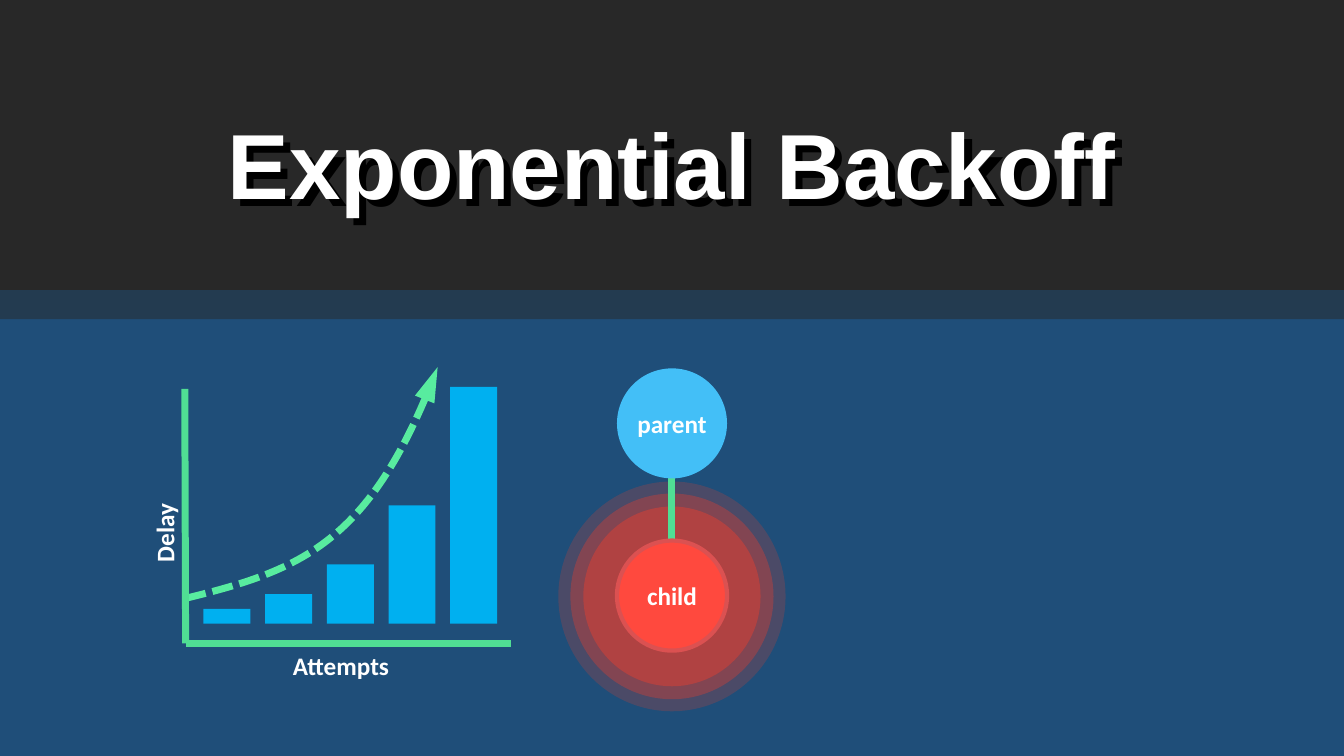
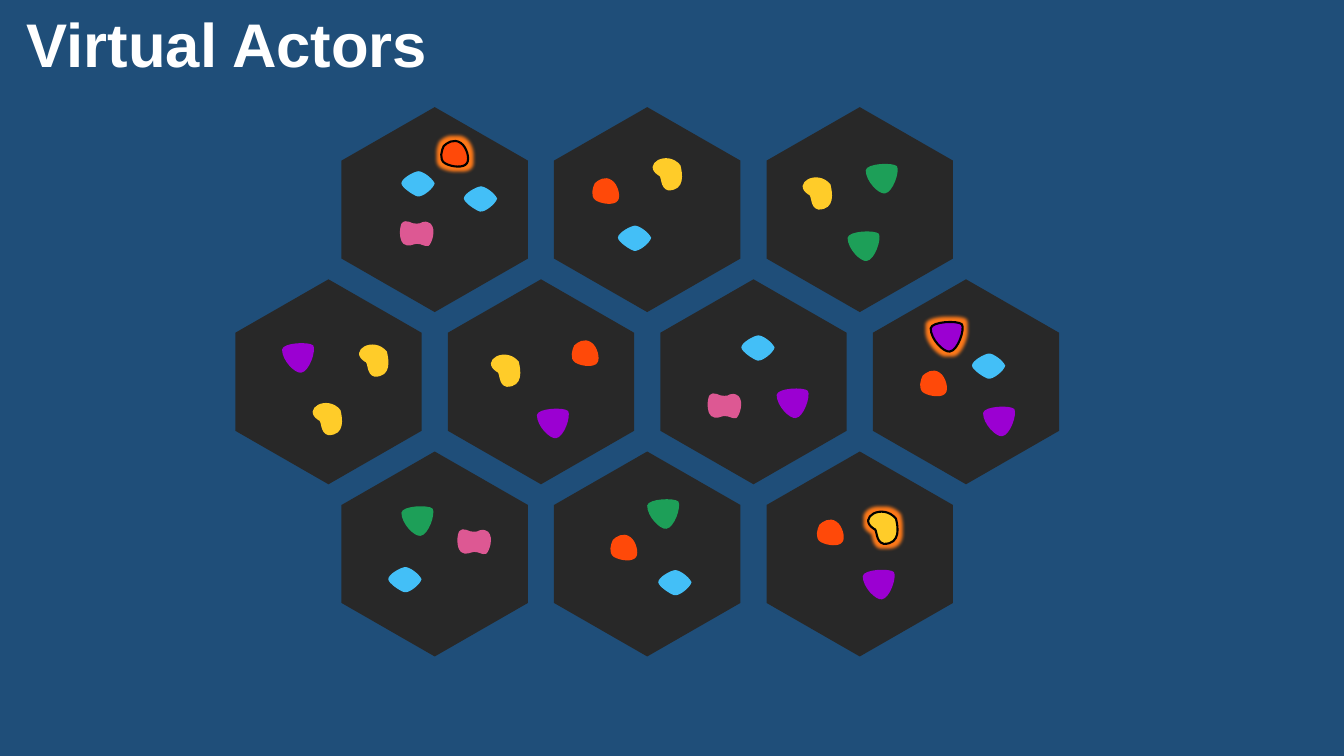
from dataclasses import dataclass
from typing import NamedTuple

from lxml import etree
from pptx import Presentation
from pptx import util as u
from pptx.dml.color import RGBColor
from pptx.enum import dml, shapes, text
from pptx.oxml.ns import qn

# The slide is a grid of 160 x 90 square cells; the small outlines use finer steps.
COLUMNS, ROWS = 160, 90
CELL = u.Inches(1) / 12
STEP = 0.12

COLORS = {
    "background": "1F4E79", "panel": "282828", "band": "233B50", "text": "FFFFFF",
    "axis": "50DE94", "trend": "58EC9F", "bar": "00B0F0",
    "parent": "43BFF7", "child": "FF493E", "child edge": "DB5151", "halo": "B04242",
    "yellow": "FFCC29", "red": "FF4909", "blue": "43BFF7", "green": "1D9F58",
    "purple": "9B00D2", "pink": "DD5893", "outline": "000000", "glow": "FF7A1A",
    "shadow": "000000",
}

Point = tuple[float, float]


class Box(NamedTuple):
    left: float
    top: float
    width: float
    height: float

    @classmethod
    def around(cls, center: Point, width: float, height: float) -> "Box":
        return cls(center[0] - width / 2, center[1] - height / 2, width, height)

    def emu(self) -> list[int]:
        return [cells(value) for value in self]


class Stroke(NamedTuple):
    color: str
    points: float
    alpha: int = 100


@dataclass(frozen=True)
class Node:
    label: str
    color: str
    row: float
    stroke: Stroke | None = None


@dataclass(frozen=True)
class AxisLabel:
    label: str
    box: Box
    rotation: int = 0


class Actor(NamedTuple):
    """One token, placed in steps from the centre of its hexagon."""
    color: str
    dx: int
    dy: int
    active: bool = False


TREE_COLUMN = 80
NODES = [
    Node("child", "child", 70.9, Stroke("child edge", 3)),
    Node("parent", "parent", 50.4),
]
HALOS = [Stroke("halo", 18.5, 54), Stroke("halo", 35.75, 31)]
AXES = [((22, 46.3), (22.1, 76.6)), ((22.2, 76.6), (60.8, 76.6))]
AXIS_LABELS = [
    AxisLabel("Attempts", Box(33.7, 76.8, 15.7, 4.9)),
    AxisLabel("Delay", Box(12.1, 58.2, 14.9, 4.9), 270),
]
TREND = [(52.1, 43.7), (44.4, 64.3), (35.4, 68), (22.2, 71.2)]

# Chains of cubic curves: a start, then two controls and an end for each curve.
SHIELD = [(14, -12), (17, -7), (10, 14), (2, 15), (-4, 16), (-17, 3), (-17, -8),
          (-16, -15), (10, -16), (14, -12)]
OUTLINES: dict[str, list[Point]] = {
    "yellow": [(-11, 2), (-28, -9), (-2, -24), (11, -8), (13, 0), (16, 17), (-1, 17),
               (-10, 15), (-7, 2), (-11, 2)],
    "red": [(-12, -9), (-9, -12), (-2, -17), (5, -12), (11, -8), (14, 4), (11, 8),
            (8, 13), (-4, 12), (-11, 8), (-17, 4), (-14, -5), (-12, -9)],
    "blue": [(-16, 0), (-16, -5), (-3, -12), (1, -12), (5, -12), (14, -6), (17, 0),
             (16, 5), (5, 14), (0, 13), (-4, 12), (-16, 4), (-16, 0)],
    "green": SHIELD,
    "purple": SHIELD,
    "pink": [(0, 10), (-3, 10), (-8, 14), (-13, 10), (-16, 8), (-18, -2), (-15, -10),
             (-10, -16), (-5, -9), (0, -10), (5, -9), (6, -15), (14, -10), (20, -4),
             (15, 10), (12, 12), (7, 13), (6, 10), (0, 10)],
}

HOST_ROWS = [
    [
        [Actor("red", 21, -54, True), Actor("blue", -17, -26), Actor("blue", 45, -11),
         Actor("pink", -18, 24)],
        [Actor("yellow", 22, -36), Actor("red", -40, -17), Actor("blue", -13, 28)],
        [Actor("yellow", -40, -17), Actor("green", 23, -31), Actor("green", 5, 36)],
    ],
    [
        [Actor("purple", -29, -24), Actor("yellow", 47, -22), Actor("yellow", 1, 36)],
        [Actor("yellow", -33, -12), Actor("red", 45, -27), Actor("purple", 13, 41)],
        [Actor("blue", 4, -34), Actor("pink", -29, 24), Actor("purple", 40, 21)],
        [Actor("purple", -18, -45, True), Actor("red", -31, 3), Actor("blue", 22, -16),
         Actor("purple", 34, 39)],
    ],
    [
        [Actor("green", -16, -33), Actor("pink", 39, -12), Actor("blue", -30, 25)],
        [Actor("red", -22, -5), Actor("green", 17, -40), Actor("blue", 27, 28)],
        [Actor("red", -28, -20), Actor("yellow", 25, -27, True), Actor("purple", 20, 30)],
    ],
]


def cells(count: float) -> int:
    return round(count * CELL)


def rgb(name: str) -> RGBColor:
    return RGBColor.from_string(COLORS[name])


def paint(shape, fill: str | None, stroke: Stroke | None = None) -> None:
    shape.shadow.inherit = False
    if fill:
        shape.fill.solid()
        shape.fill.fore_color.rgb = rgb(fill)
    else:
        shape.fill.background()
    if not stroke:
        shape.line.fill.background()
        return
    shape.line.color.rgb = rgb(stroke.color)
    shape.line.width = u.Pt(stroke.points)
    if stroke.alpha < 100:
        color = shape._element.spPr.xpath("./a:ln//a:srgbClr")[0]
        etree.SubElement(color, qn("a:alpha"), val=str(stroke.alpha * 1000))


def add_effect(shape, tag: str, color: str, **settings: str) -> None:
    shape.shadow.inherit = False
    effects = shape._element.spPr.find(qn("a:effectLst"))
    effect = etree.SubElement(effects, qn(tag), **settings)
    etree.SubElement(effect, qn("a:srgbClr"), val=COLORS[color])


def add_preset(parent, kind, box: Box, fill: str | None, stroke: Stroke | None = None):
    """Add a preset shape to a slide or a group."""
    shape = parent.shapes.add_shape(kind, *box.emu())
    paint(shape, fill, stroke)
    return shape


def add_connection(slide, start: Point, end: Point) -> None:
    line = slide.shapes.add_connector(
        shapes.MSO_CONNECTOR.STRAIGHT, *map(cells, (*start, *end)))
    line.line.color.rgb = rgb("axis")
    line.line.width = u.Pt(5)
    etree.SubElement(line._element.spPr, qn("a:effectLst"))


def write(frame, words: str, font: str, size: float, align) -> None:
    paragraph = frame.paragraphs[0]
    paragraph.alignment = align
    run = paragraph.add_run()
    run.text = words
    run.font.name, run.font.size, run.font.bold = font, u.Pt(size), True
    run.font.color.rgb = rgb("text")


def write_label(shape, words: str, align, wrap: bool) -> None:
    frame = shape.text_frame
    frame.word_wrap = wrap
    frame.vertical_anchor = text.MSO_ANCHOR.MIDDLE
    write(frame, words, "Calibri", 18, align)


def add_title(slide, words: str, box: Box, size: float, align, indent: float = 1.2):
    """Fill the title placeholder and bring it in front of the panels."""
    title = slide.shapes.title
    title.left, title.top, title.width, title.height = box.emu()
    frame = title.text_frame
    frame.auto_size = text.MSO_AUTO_SIZE.NONE
    frame.vertical_anchor = text.MSO_ANCHOR.TOP
    frame.margin_left = cells(indent)
    write(frame, words, "Arial", size, align)
    slide.shapes._spTree.append(title._element)
    return title


def add_curve(parent, chain: list[Point], close: bool):
    """Add a freeform whose straight segments become cubic curves, three by three."""
    points = [(cells(x), cells(y)) for x, y in chain]
    builder = parent.shapes.build_freeform(*points[0])
    builder.add_line_segments(points[1:], close=close)
    shape = builder.convert_to_shape()
    outline = shape._element.xpath(".//a:path")[0]
    segments = outline.findall(qn("a:lnTo"))
    for i in range(0, len(segments), 3):
        curve = etree.SubElement(outline, qn("a:cubicBezTo"))
        segments[i].addprevious(curve)
        for segment in segments[i:i + 3]:
            curve.append(segment[0])
            outline.remove(segment)
    return shape


def add_delay_chart(slide) -> None:
    baseline, tallest, count = 74.25, 28.2, 5
    for i in range(count):
        height = tallest / 2 ** (count - 1 - i)
        bar = Box(24.2 + 7.35 * i, baseline - height, 5.6, height)
        add_preset(slide, shapes.MSO_SHAPE.RECTANGLE, bar, "bar")
    trend = add_curve(slide, TREND, close=False)
    paint(trend, None, Stroke("trend", 5))
    trend.line.dash_style = dml.MSO_LINE.SQUARE_DOT
    etree.SubElement(trend._element.spPr.find(qn("a:ln")), qn("a:headEnd"),
                     type="triangle", w="med", len="lg")
    for start, end in AXES:
        add_connection(slide, start, end)
    for axis in AXIS_LABELS:
        label = add_preset(slide, shapes.MSO_SHAPE.RECTANGLE, axis.box, None)
        label.rotation = axis.rotation
        write_label(label, axis.label, text.PP_ALIGN.LEFT, wrap=True)


def add_actor_tree(slide) -> None:
    oval = shapes.MSO_SHAPE.OVAL
    halo = Box.around((TREE_COLUMN, 71), 21.1, 21.4)
    for fill, stroke in zip(("halo", None), HALOS):
        add_preset(slide, oval, halo, fill, stroke)
    add_connection(slide, (TREE_COLUMN, 56.9), (TREE_COLUMN, 64.3))
    for node in NODES:
        circle = Box.around((TREE_COLUMN, node.row), 13.1, 13.1)
        shape = add_preset(slide, oval, circle, node.color, node.stroke)
        write_label(shape, node.label, text.PP_ALIGN.CENTER, wrap=False)


def add_actor(group, host: Point, actor: Actor) -> None:
    chain = [(host[0] + (actor.dx + x) * STEP, host[1] + (actor.dy + y) * STEP)
             for x, y in OUTLINES[actor.color]]
    token = add_curve(group, chain, close=True)
    paint(token, actor.color, Stroke("outline", 1.5) if actor.active else None)
    if actor.active:
        add_effect(token, "a:glow", "glow", rad=str(u.Pt(5)))


def add_host(slide, center: Point, actors: list[Actor]) -> None:
    group = slide.shapes.add_group_shape()
    hexagon = add_preset(group, shapes.MSO_SHAPE.HEXAGON,
                         Box.around(center, 24.4, 22.2), "panel")
    hexagon.adjustments[0] = 0.287
    hexagon.rotation = 90
    for actor in actors:
        add_actor(group, center, actor)


def build_backoff(slide) -> None:
    for top, height, color in ((34.5, 3.5, "band"), (0, 34.5, "panel")):
        add_preset(slide, shapes.MSO_SHAPE.RECTANGLE, Box(0, top, COLUMNS, height), color)
    title = add_title(slide, "Exponential Backoff", Box(0, 12.1, COLUMNS, 14.5), 66,
                      text.PP_ALIGN.CENTER)
    add_effect(title, "a:outerShdw", "shadow", dist=str(u.Inches(0.1)), dir="2700000")
    add_actor_tree(slide)
    add_delay_chart(slide)


def build_actors(slide) -> None:
    add_title(slide, "Virtual Actors", Box(0, 0.1, COLUMNS, 10.1), 44,
              text.PP_ALIGN.LEFT, indent=3.2)
    widest = max(map(len, HOST_ROWS))
    for row, hosts in enumerate(HOST_ROWS):
        shift = (widest - len(hosts)) / 2
        for column, actors in enumerate(hosts):
            center = (39.1 + 25.3 * (column + shift), 24.95 + 20.5 * row)
            add_host(slide, center, actors)


def main() -> None:
    deck = Presentation()
    deck.slide_width, deck.slide_height = cells(COLUMNS), cells(ROWS)
    backdrop = deck.slide_master.background.fill
    backdrop.solid()
    backdrop.fore_color.rgb = rgb("background")
    title_only = deck.slide_layouts.get_by_name("Title Only")
    for build in (build_backoff, build_actors):
        build(deck.slides.add_slide(title_only))
    deck.save("out.pptx")


if __name__ == "__main__":
    main()
